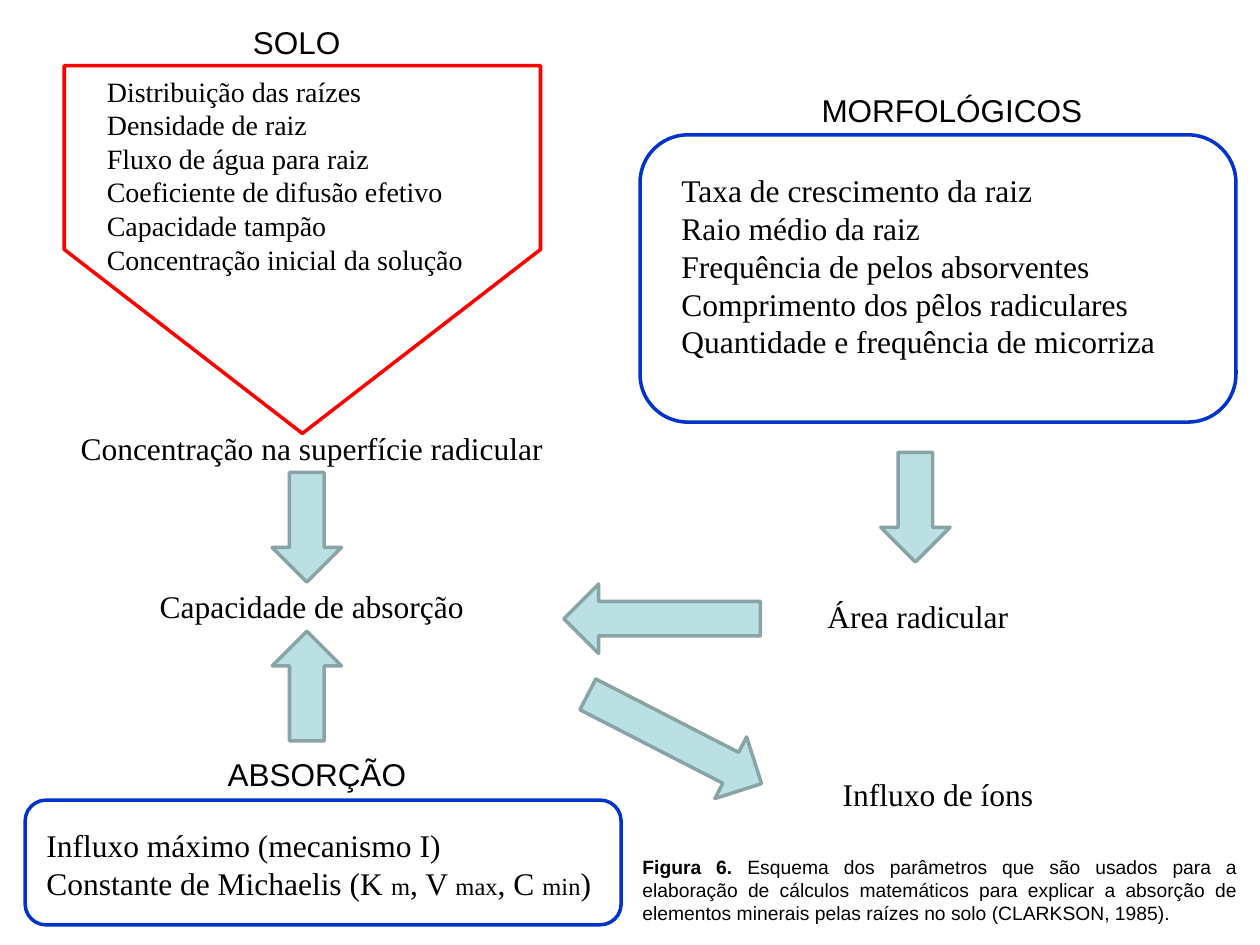
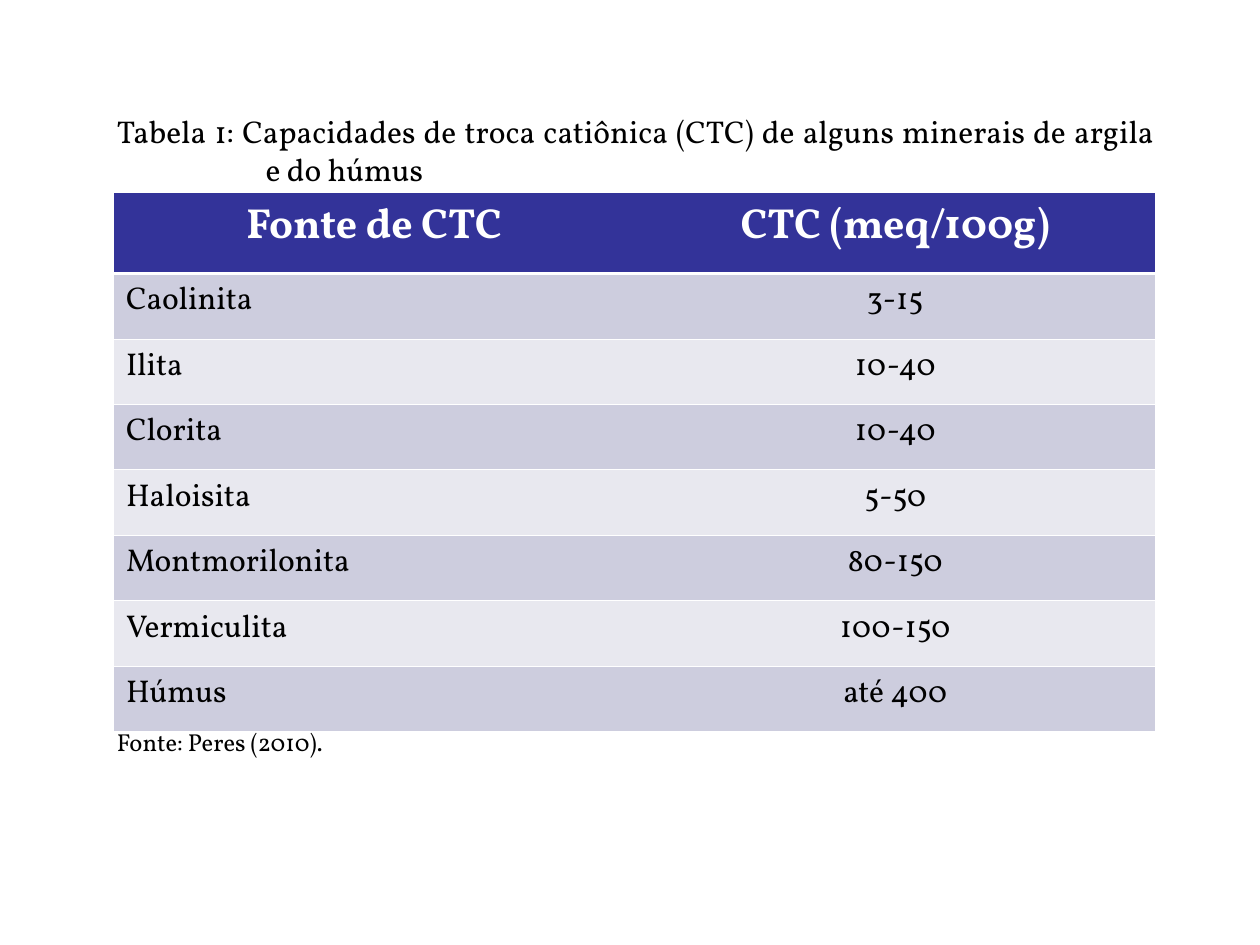
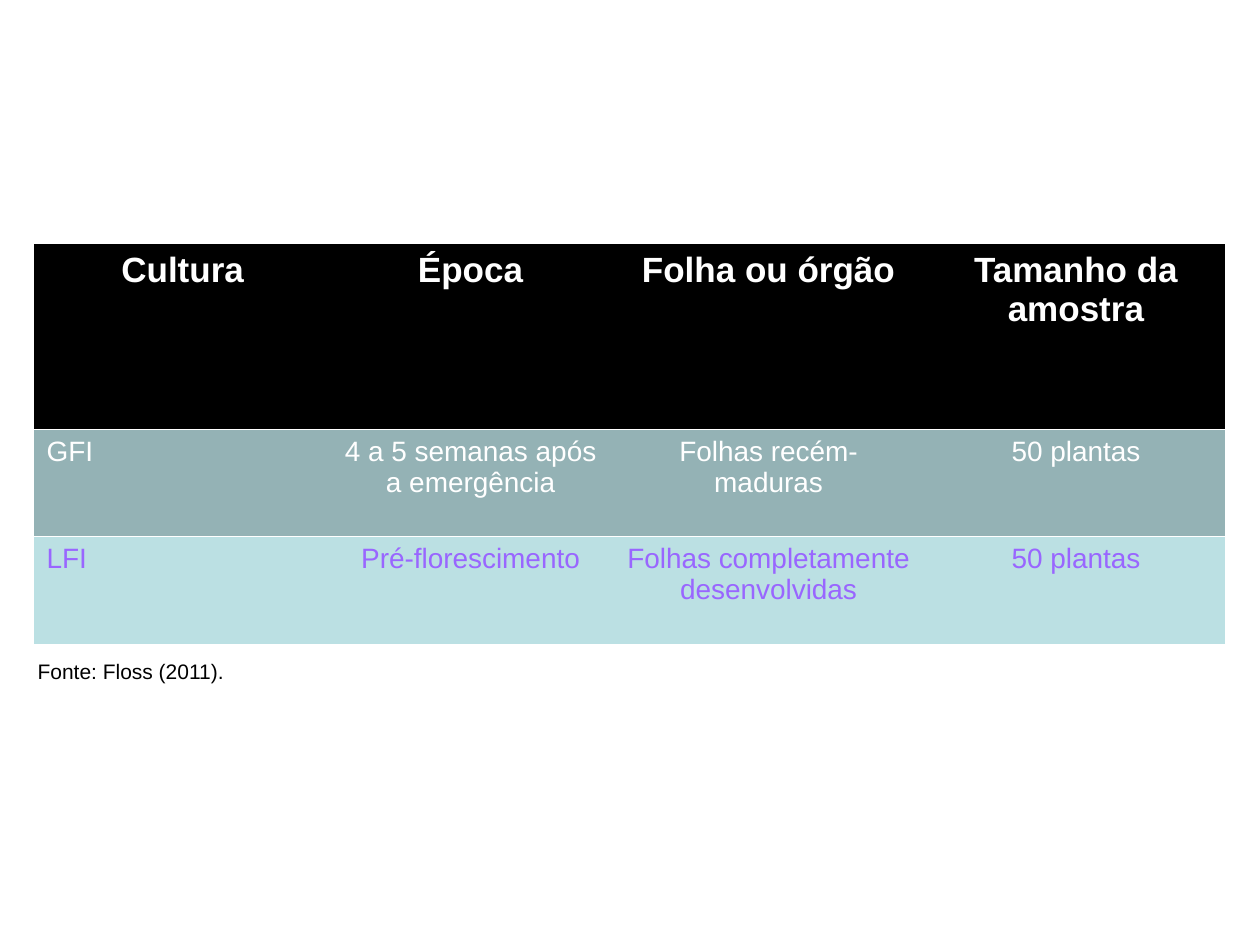
from dataclasses import dataclass
from lxml import etree
from pptx import Presentation
from pptx import util as u
from pptx.dml.color import RGBColor
from pptx.enum import shapes, text
from pptx.oxml.ns import qn

PX = 9144
LEFT, CENTER, JUSTIFY = text.PP_ALIGN.LEFT, text.PP_ALIGN.CENTER, text.PP_ALIGN.JUSTIFY
NO_STYLE = "{2D5ABB26-0587-4C30-8999-92F81FD0307C}"


@dataclass
class Theme:
    black: str = "000000"
    white: str = "FFFFFF"
    red: str = "FF0000"
    blue: str = "0033CC"
    aqua: str = "BBE0E3"
    aqua_line: str = "89A4A7"
    teal: str = "94B2B5"
    violet: str = "9966FF"
    indigo: str = "333399"
    lilac: str = "CDCDDE"
    mist: str = "E8E8EF"
    sans: str = "Arial"
    serif: str = "Times New Roman"
    book: str = "Vollkorn"
    header: int = 24
    column: int = 20
    body: int = 18
    small: int = 16
    note: int = 14
    source: int = 12
    caption: int = 11
    outline: int = 2


theme = Theme()


def add_text(slide, box, lines, font, size, align=LEFT, leading=1.2):
    frame = slide.shapes.add_textbox(*[v * PX for v in box]).text_frame
    frame.word_wrap = True
    for index, line in enumerate(lines):
        paragraph = frame.paragraphs[0] if index == 0 else frame.add_paragraph()
        paragraph.text = line
        paragraph.alignment = align
        if leading:
            paragraph.line_spacing = u.Pt(round(size * leading, 1))
        paragraph.font.name = font
        paragraph.font.size = u.Pt(size)
        paragraph.font.color.rgb = RGBColor.from_string(theme.black)
    return frame


def add_grid(slide, left, top, widths, heights, rows, font, looks, borders):
    frame = slide.shapes.add_table(len(rows), len(widths), left * PX, top * PX,
                                   sum(widths) * PX, sum(heights) * PX)
    next(frame.element.iter(qn("a:tableStyleId"))).text = NO_STYLE
    grid = frame.table
    grid.first_row = grid.horz_banding = False
    for column, width in zip(grid.columns, widths):
        column.width = width * PX
    for r, (values, (fill, color, size)) in enumerate(zip(rows, looks)):
        grid.rows[r].height = heights[r] * PX
        for c, value in enumerate(values):
            cell = grid.cell(r, c)
            properties = cell._tc.get_or_add_tcPr()
            edges = {"L": borders[0] if c == 0 else 0,
                     "R": borders[0] if c == len(widths) - 1 else 0,
                     "T": borders[1] if r == 1 else borders[0],
                     "B": borders[1] if r == 0 else borders[0]}
            for side, weight in edges.items():
                if weight:
                    edge = etree.SubElement(properties, qn(f"a:ln{side}"), w=str(u.Pt(weight)))
                    paint = etree.SubElement(edge, qn("a:solidFill"))
                    etree.SubElement(paint, qn("a:srgbClr"), val=theme.white)
            cell.fill.solid()
            cell.fill.fore_color.rgb = RGBColor.from_string(fill)
            cell.text = value
            for paragraph in cell.text_frame.paragraphs:
                paragraph.alignment = LEFT if r and c == 0 else CENTER
                paragraph.font.name = font
                paragraph.font.size = u.Pt(size)
                paragraph.font.bold = r == 0
                paragraph.font.color.rgb = RGBColor.from_string(color)


deck = Presentation()
deck.slide_width, deck.slide_height = 1000 * PX, 750 * PX
scheme, exchange, sampling = [deck.slides.add_slide(deck.slide_layouts[6]) for _ in range(3)]

soil_outline = scheme.shapes.build_freeform(429, 52, scale=PX)
soil_outline.add_line_segments([(429, 198), (240, 344), (51, 198), (51, 52)], close=True)
outlines = [(soil_outline.convert_to_shape(), theme.red)]
for box in [(508, 107, 473, 228), (20, 635, 473, 99)]:
    frame = scheme.shapes.add_shape(shapes.MSO_SHAPE.ROUNDED_RECTANGLE, *[v * PX for v in box])
    outlines.append((frame, theme.blue))
for outline, color in outlines:
    outline.shadow.inherit = False
    outline.fill.background()
    outline.line.color.rgb = RGBColor.from_string(color)
    outline.line.width = u.Pt(theme.outline)

for left, top, length, turn in [(216, 375, 87, 0), (216, 501, 87, 180), (699, 359, 87, 0),
                                (498, 413, 156, 90), (508, 509, 155, 297.2)]:
    arrow = scheme.shapes.add_shape(shapes.MSO_SHAPE.DOWN_ARROW,
                                    left * PX, top * PX, 55 * PX, length * PX)
    arrow.rotation = turn
    arrow.shadow.inherit = False
    arrow.fill.solid()
    arrow.fill.fore_color.rgb = RGBColor.from_string(theme.aqua)
    arrow.line.color.rgb = RGBColor.from_string(theme.aqua_line)
    arrow.line.width = u.Pt(theme.outline)

add_text(scheme, (75, 54, 331, 197),
         ["Distribuição das raízes", "Densidade de raiz", "Fluxo de água para raiz",
          "Coeficiente de difusão efetivo", "Capacidade tampão",
          "Concentração inicial da solução"], theme.serif, theme.small, JUSTIFY)
add_text(scheme, (531, 131, 425, 220),
         ["Taxa de crescimento da raiz", "Raio médio da raiz", "Frequência de pelos absorventes",
          "Comprimento dos pêlos radiculares", "Quantidade e frequência de micorriza"],
         theme.serif, theme.body, JUSTIFY)
for box, label in [((27, 336, 441, 70), "Concentração na superfície radicular"),
                   ((35, 461, 425, 40), "Capacidade de absorção"),
                   ((508, 469, 441, 40), "Área radicular"),
                   ((524, 610, 441, 40), "Influxo de íons")]:
    add_text(scheme, box, [label], theme.serif, theme.body, CENTER)
for left, top, heading in [(90, 13, "SOLO"), (610, 67, "MORFOLÓGICOS"), (106, 594, "ABSORÇÃO")]:
    add_text(scheme, (left, top, 291, 40), [heading], theme.sans, theme.body, CENTER)

uptake = add_text(scheme, (27, 651, 488, 100), ["Influxo máximo (mecanismo I)", ""],
                  theme.serif, theme.body)
for index, part in enumerate(["Constante de Michaelis (K ", "m", ", V ", "max", ", C ", "min", ")"]):
    run = uptake.paragraphs[1].add_run()
    run.text = part
    if index % 2:
        run.font.size = u.Pt(theme.note)

figure = add_text(scheme, (500, 674, 492, 65), ["Figura 6."], theme.sans, theme.caption, JUSTIFY)
figure.paragraphs[0].runs[0].font.bold = True
figure.paragraphs[0].add_run().text = (
    " Esquema dos parâmetros que são usados para a elaboração de cálculos matemáticos para "
    "explicar a absorção de elementos minerais pelas raízes no solo (CLARKSON, 1985).")

minerals = [("Fonte de CTC", "CTC (meq/100g)"), ("Caolinita", "3-15"), ("Ilita", "10-40"),
            ("Clorita", "10-40"), ("Haloisita", "5-50"), ("Montmorilonita", "80-150"),
            ("Vermiculita", "100-150"), ("Húmus", "até 400")]
mineral_looks = [(theme.indigo, theme.white, theme.header)]
for r in range(1, len(minerals)):
    mineral_looks.append((theme.lilac if r % 2 else theme.mist, theme.black, theme.body))
add_grid(exchange, 90, 153, [414, 413], [64] + [52] * 7, minerals, theme.book,
         mineral_looks, (0.45, 1.47))
title = add_text(exchange, (83, 84, 843, 70),
                 ["Tabela 1: Capacidades de troca catiônica (CTC) de alguns minerais de argila "
                  "e do húmus"], theme.book, theme.body, JUSTIFY, None)
indent = title.paragraphs[0]._p.get_or_add_pPr()
indent.set("marL", str(118 * PX))
indent.set("indent", str(-118 * PX))
add_text(exchange, (83, 572, 284, 34), ["Fonte: Peres (2010)."], theme.book, theme.note, LEFT, None)

crops = [("Cultura", "Época", "Folha ou órgão", "Tamanho da amostra"),
         ("GFI", "4 a 5 semanas após a emergência", "Folhas recém- maduras", "50 plantas"),
         ("LFI", "Pré-florescimento", "Folhas completamente\ndesenvolvidas", "50 plantas")]
add_grid(sampling, 27, 194, [236, 221, 252, 236], [147, 85, 85], crops, theme.sans,
         [(theme.black, theme.white, theme.column), (theme.teal, theme.white, theme.small),
          (theme.aqua, theme.violet, theme.small)], (0, 0.96))
add_text(sampling, (20, 518, 268, 30), ["Fonte: Floss (2011)."], theme.sans, theme.source)

deck.save("out.pptx")
